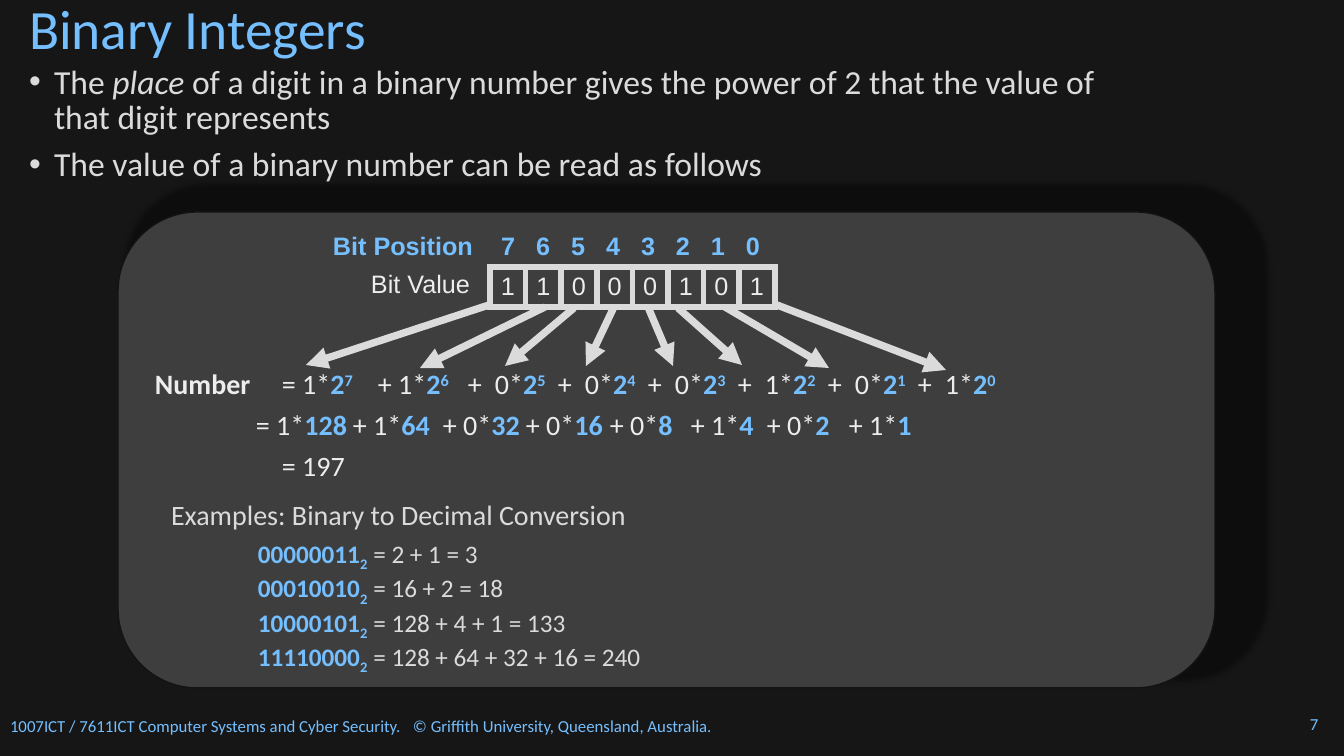
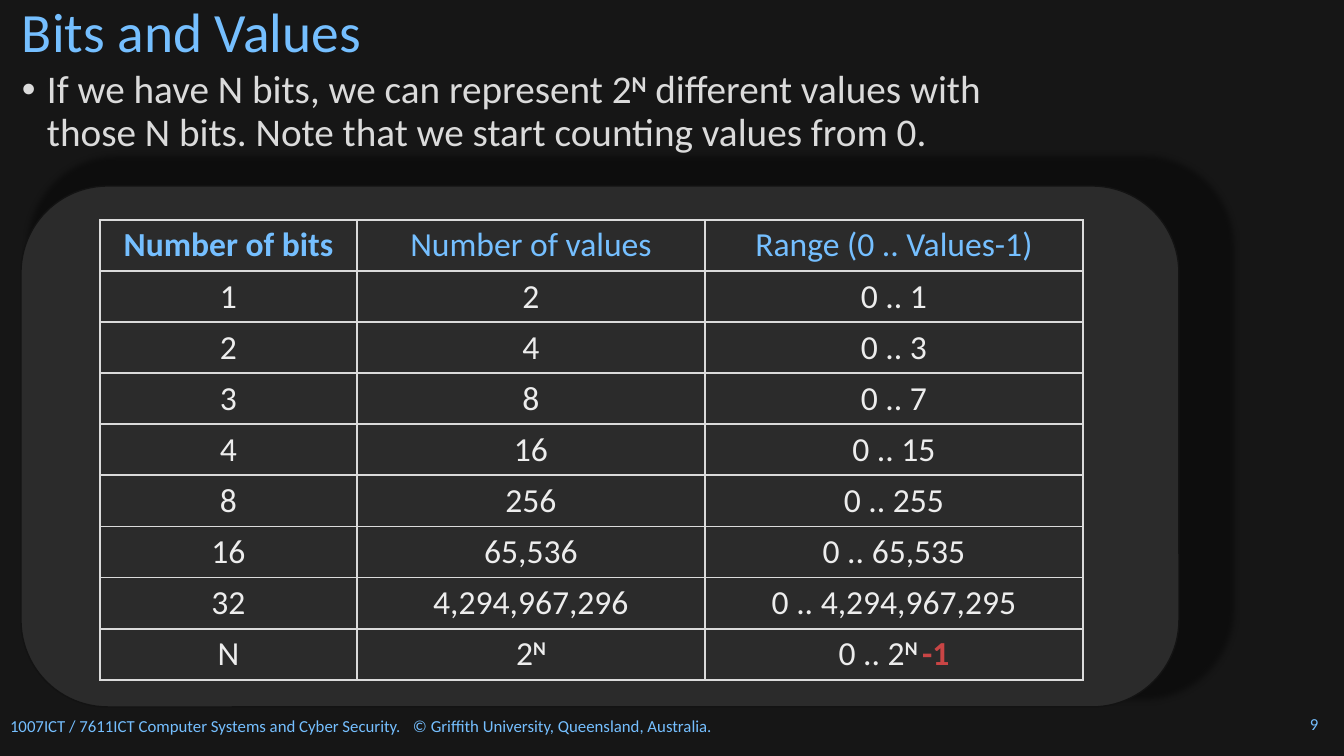
"""Build two slides on binary integers and bit ranges."""
import lxml.etree
import pptx
import pptx.dml.color
import pptx.enum.shapes
import pptx.enum.text
import pptx.oxml
import pptx.oxml.ns
import pptx.util

RGB = pptx.dml.color.RGBColor
ALIGN = pptx.enum.text.PP_ALIGN
ANCHOR = pptx.enum.text.MSO_ANCHOR
SCALE = 12192000 / 1344

BACK = RGB(0x16, 0x16, 0x16)
BLUE = RGB(0x75, 0xBF, 0xFF)
PALE = RGB(0xDB, 0xDB, 0xDB)
WHITE = RGB(0xED, 0xED, 0xED)
RED = RGB(0xC9, 0x45, 0x45)
EDGE = RGB(0x13, 0x13, 0x13)
GREY = RGB(0x3E, 0x3E, 0x3E)
DARK = RGB(0x2B, 0x2B, 0x2B)

BITS = "11000101"
ARROWS = [
    (489, 305, 306, 365), (545, 307, 420, 368),
    (574, 308, 505, 366), (614, 307, 586, 366),
    (648, 307, 673, 366), (678, 308, 742, 365),
    (725, 307, 829, 368), (777, 305, 946, 370),
]
SUMS = [
    ("00000011", "2 + 1 = 3"),
    ("00010010", "16 + 2 = 18"),
    ("10000101", "128 + 4 + 1 = 133"),
    ("11110000", "128 + 64 + 32 + 16 = 240"),
]
RANGES = [
    ("1", "2", "0 .. 1"),
    ("2", "4", "0 .. 3"),
    ("3", "8", "0 .. 7"),
    ("4", "16", "0 .. 15"),
    ("8", "256", "0 .. 255"),
    ("16", "65,536", "0 .. 65,535"),
    ("32", "4,294,967,296", "0 .. 4,294,967,295"),
]


def px(size):
    """Turn px into EMU."""
    return pptx.util.Emu(round(size * SCALE))


def node(root, tag, **attrs):
    """Add a drawing element below root."""
    child = lxml.etree.SubElement(root, pptx.oxml.ns.qn("a:" + tag))
    for key, value in attrs.items():
        child.set(key, str(value))
    return child


def add(para, text, size, color, bold=False, base=0, face="Calibri", slant=False):
    """Add one run to a paragraph."""
    run = para.add_run()
    run.text = text
    font = run.font
    font.size = pptx.util.Pt(size)
    font.name = face
    font.bold = bold
    font.italic = slant
    font.color.rgb = color
    if base:
        run._r.get_or_add_rPr().set("baseline", str(base * 1000))


def frame(slide, box, wrap=True):
    """Add a text box without insets and return its text frame."""
    text = slide.shapes.add_textbox(*map(px, box)).text_frame
    text.word_wrap = wrap
    text.margin_left = text.margin_right = 0
    text.margin_top = text.margin_bottom = 0
    return text


def line(text, first, gap=0):
    """Return the first paragraph, or a new one set off by a gap."""
    if first:
        return text.paragraphs[0]
    para = text.add_paragraph()
    para.space_before = pptx.util.Pt(gap)
    return para


def tabs(para, stops, kind="l"):
    """Set the tab stops of a paragraph, in px."""
    group = node(para._p.get_or_add_pPr(), "tabLst")
    for stop in stops:
        node(group, "tab", pos=px(stop), algn=kind)


def bullet(para, space):
    """Give a paragraph a hanging bullet and line spacing."""
    props = para._p.get_or_add_pPr()
    props.set("marL", str(px(25)))
    props.set("indent", str(-px(25)))
    node(props, "buFont", typeface="Arial")
    node(props, "buChar", char="•")
    para.line_spacing = space


def panel(slide, box, color):
    """Add the rounded panel with its large shadow."""
    kind = pptx.enum.shapes.MSO_SHAPE.ROUNDED_RECTANGLE
    shape = slide.shapes.add_shape(kind, *map(px, box))
    shape.shadow.inherit = False
    shape.fill.solid()
    shape.fill.fore_color.rgb = color
    shape.line.color.rgb = EDGE
    shape.line.width = pptx.util.Pt(1)
    effects = shape._element.spPr.find(pptx.oxml.ns.qn("a:effectLst"))
    shade = node(effects, "outerShdw", blurRad=pptx.util.Pt(4), dist=pptx.util.Pt(8),
                 dir=315 * 60000, sx=104000, sy=104000, algn="bl", rotWithShape=0)
    node(node(shade, "srgbClr", val="000000"), "alpha", val=40000)


def base(deck, title, page, left, top):
    """Add a slide with background, title and footer."""
    slide = deck.slides.add_slide(deck.slide_layouts[6])
    slide.background.fill.solid()
    slide.background.fill.fore_color.rgb = BACK
    foot = frame(slide, (10, 716, 820, 24)).paragraphs[0]
    tabs(foot, [403])
    add(foot, "1007ICT / 7611ICT Computer Systems and Cyber Security.", 12, BLUE)
    add(foot, "\t© Griffith University, Queensland, Australia.", 12, BLUE)
    add(frame(slide, (1310, 714, 24, 24)).paragraphs[0], page, 12, BLUE)
    head = frame(slide, (left, top, 982, 57))
    head.vertical_anchor = ANCHOR.MIDDLE
    head.paragraphs[0].line_spacing = 0.9
    add(head.paragraphs[0], title, 39.6, BLUE)
    return slide


def grid(slide, box, cols, rows, weight):
    """Add an unfilled table with even rows and ruled cells."""
    left, top, width, height = box
    table = slide.shapes.add_table(rows, len(cols), *map(px, box)).table
    table.first_row = table.horz_banding = False
    for col, size in zip(table.columns, cols):
        col.width = px(size)
    for row in table.rows:
        row.height = px(height / rows)
    for cell in table.iter_cells():
        cell.fill.background()
        cell.vertical_anchor = ANCHOR.MIDDLE
        cell.margin_left = cell.margin_right = px(5)
        cell.margin_top = cell.margin_bottom = px(5)
        cell.text_frame.paragraphs[0].alignment = ALIGN.CENTER
        props = cell._tc.get_or_add_tcPr()
        for spot, side in enumerate(("lnL", "lnR", "lnT", "lnB")):
            rule = node(props, side, w=pptx.util.Pt(weight))
            node(node(rule, "solidFill"), "srgbClr", val=PALE)
            props.insert(spot, rule)
    return table


def arrow(slide, ends):
    """Add a thick arrow between two points."""
    kind = pptx.enum.shapes.MSO_CONNECTOR.STRAIGHT
    link = slide.shapes.add_connector(kind, *map(px, ends))
    link.line.color.rgb = PALE
    link.line.width = pptx.util.Pt(5.25)
    node(link.line._get_or_add_ln(), "tailEnd", type="triangle")
    node(link._element.spPr, "effectLst")


def bits(slide, left, top):
    """Add the bit positions, bit values and arrows."""
    spots = frame(slide, (left, top, 460, 30)).paragraphs[0]
    tabs(spots, [175 + 35 * i for i in range(8)], "ctr")
    add(spots, "Bit Position", 18, BLUE, True, face="Arial")
    for i in reversed(range(8)):
        add(spots, f"\t{i}", 18, BLUE, True, face="Arial")
    label = frame(slide, (left + 38, top + 38, 110, 30), False).paragraphs[0]
    add(label, "Bit Value", 18, WHITE, face="Arial")
    table = grid(slide, (left + 157, top + 37, 285, 40), [285 / 8] * 8, 1, 4.5)
    for cell, bit in zip(table.iter_cells(), BITS):
        add(cell.text_frame.paragraphs[0], bit, 18, WHITE, face="Arial")
    for ends in ARROWS:
        arrow(slide, ends)


def total(slide, left, top):
    """Add the expansion of the number in three rows."""
    text = frame(slide, (left, top, 1000, 125))
    powers, values, result = [line(text, i == 0, 5) for i in range(3)]
    pairs = [stop + 90 * i for i in range(6) for stop in (313, 340)]
    tabs(powers, [127, 223] + pairs)
    tabs(values, [101, 198, 288, 371, 455, 536, 612, 694])
    tabs(result, [127])
    add(powers, "Number", 20, WHITE, True)
    for i, bit in enumerate(BITS):
        sign = "+" if i else "="
        gap = "\t" if i > 1 else " "
        add(powers, f"\t{sign}{gap}{bit}*", 20, WHITE)
        add(powers, "2", 20, BLUE, True)
        add(powers, str(7 - i), 20, BLUE, True, 30)
        add(values, f"\t{sign} {bit}*", 20, WHITE)
        add(values, str(2 ** (7 - i)), 20, BLUE, True)
    add(result, "\t= 197", 20, WHITE)


def samples(slide, left, top):
    """Add the worked conversions under their heading."""
    head = frame(slide, (left, top, 600, 35)).paragraphs[0]
    add(head, "Examples: Binary to Decimal Conversion", 20, PALE)
    text = frame(slide, (left + 87, top + 40, 600, 140))
    for i, (digits, worth) in enumerate(SUMS):
        para = line(text, i == 0)
        para.line_spacing = pptx.util.Pt(24.6)
        add(para, digits, 18, BLUE, True)
        add(para, "2", 18, BLUE, True, -25)
        add(para, f" = {worth}", 18, PALE)


def integers(deck):
    """Build the slide on binary integers."""
    slide = base(deck, "Binary Integers", "7", 29, 3)
    panel(slide, (118, 212, 1097, 476), GREY)
    text = frame(slide, (29, 66, 1079, 125))
    place = line(text, True)
    bullet(place, 0.87)
    add(place, "The ", 24, PALE)
    add(place, "place", 24, PALE, slant=True)
    add(place, " of a digit in a binary number gives the power of 2"
        " that the value of that digit represents", 24, PALE)
    follow = line(text, False, 9)
    bullet(follow, 0.87)
    add(follow, "The value of a binary number can be read as follows", 24, PALE)
    bits(slide, 333, 230)
    total(slide, 155, 367)
    samples(slide, 171, 498)


def ranges(deck):
    """Build the slide on bits and values."""
    slide = base(deck, "Bits and Values", "9", 22, 6)
    panel(slide, (21, 186, 1158, 521), DARK)
    para = frame(slide, (22, 70, 1139, 90)).paragraphs[0]
    bullet(para, 0.9)
    add(para, "If we have N bits, we can represent 2", 28, PALE)
    add(para, "N", 28, PALE, True, 30)
    add(para, " different values with", 28, PALE)
    para.add_line_break()
    add(para, "those N bits. Note that we start counting values from 0.", 28, PALE)
    table = grid(slide, (100, 220, 983, 460), [257, 348, 378], 9, 1.5)
    paras = [cell.text_frame.paragraphs[0] for cell in table.iter_cells()]
    heads = ("Number of bits", "Number of values", "Range (0 .. Values-1)")
    for i, head in enumerate(heads):
        add(paras[i], head, 24, BLUE, i == 0)
    words = [word for row in RANGES for word in row] + ["N", "2", "0 .. 2"]
    for para, word in zip(paras[3:], words):
        add(para, word, 24, WHITE)
    add(paras[-2], "N", 24, WHITE, True, 30)
    add(paras[-1], "N ", 24, WHITE, True, 30)
    add(paras[-1], "-1", 24, RED, True)


def main():
    """Build and save the deck."""
    deck = pptx.Presentation()
    deck.slide_width = px(1344)
    deck.slide_height = px(756)
    integers(deck)
    ranges(deck)
    deck.save("out.pptx")


if __name__ == "__main__":
    main()
